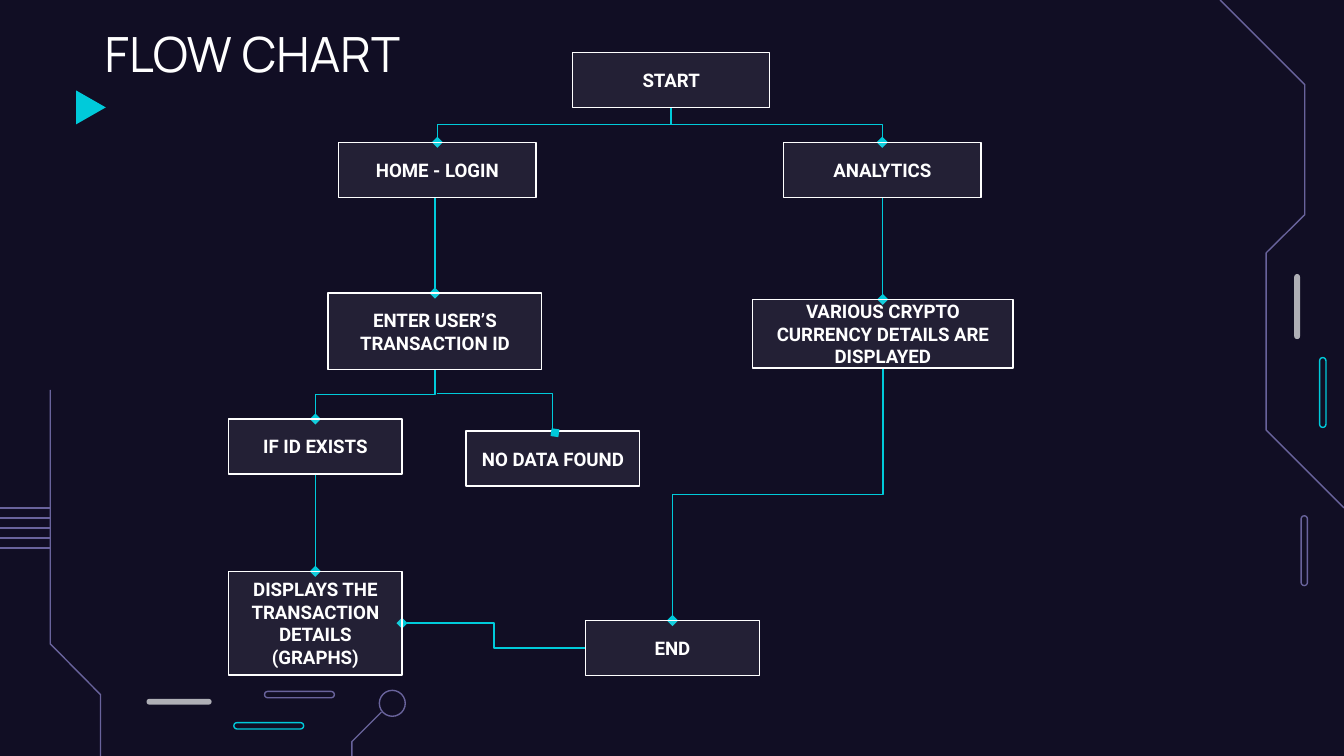
from lxml import etree
from pptx import Presentation
from pptx.dml.color import RGBColor
from pptx.enum import shapes, text
from pptx.oxml.ns import qn
from pptx.util import Cm, Pt

NIGHT = RGBColor(0x11, 0x0E, 0x24)
WHITE = RGBColor(0xFF, 0xFF, 0xFF)
CYAN = RGBColor(0x00, 0xCA, 0xDA)
PURPLE = RGBColor(0x69, 0x63, 0x9C)
GREY = RGBColor(0xAF, 0xAF, 0xB6)

KIND = shapes.MSO_SHAPE
WIDE, TALL = 25.4, 14.29

# Flow steps: left, top, width, height within the chart box, and paragraphs
STEPS = {
    "start": (6.5, 0, 3.73, 1.04, "START"),
    "home": (2.08, 1.7, 3.73, 1.04, "HOME - LOGIN"),
    "stats": (10.49, 1.7, 3.73, 1.04, "ANALYTICS"),
    "coins": (9.9, 4.67, 4.93, 1.3,
              "VARIOUS CRYPTO CURRENCY DETAILS ARE DISPLAYED"),
    "none": (4.49, 7.16, 3.28, 1.04, "NO DATA FOUND"),
    "enter": (1.88, 4.55, 4.04, 1.45, "ENTER USER’S TRANSACTION ID"),
    "end": (6.75, 10.74, 3.28, 1.04, "END"),
    "show": (0, 9.81, 3.28, 1.96,
             "DISPLAYS THE TRANSACTION DETAILS\n(GRAPHS)"),
    "found": (0, 6.93, 3.28, 1.04, "IF ID EXISTS"),
}
# Downward links: upper step, lower step, place of the bend
LINKS = [
    ("start", "stats", 0.5), ("start", "home", 0.5), ("home", "enter", 0),
    ("stats", "coins", 0.5), ("enter", "found", 0.5),
    ("found", "show", 0.5), ("coins", "end", 0.5),
]


def paint(shape, fill=None, line=None):
    shape.shadow.inherit = False
    if fill is None:
        shape.fill.background()
    else:
        shape.fill.solid()
        shape.fill.fore_color.rgb = fill
    if line is None:
        shape.line.fill.background()
    else:
        shape.line.color.rgb = line
        shape.line.width = Pt(0.75)


def add_shape(slide, kind, left, top, wide, tall, fill=None, line=None):
    shape = slide.shapes.add_shape(kind, Cm(left), Cm(top), Cm(wide), Cm(tall))
    paint(shape, fill, line)
    return shape


def add_pill(slide, *place, fill=None, line=None):
    pill = add_shape(slide, KIND.ROUNDED_RECTANGLE, *place, fill, line)
    pill.adjustments[0] = 0.5


def add_trace(slide, box, points):
    """Open circuit line through points within the box."""
    spots = [(Cm(box[0] + x), Cm(box[1] + y)) for x, y in points]
    path = slide.shapes.build_freeform(*spots[0])
    path.add_line_segments(spots[1:], close=False)
    paint(path.convert_to_shape(), line=PURPLE)


def add_line(slide, kind, start, end, color):
    line = slide.shapes.add_connector(kind, *map(Cm, start + end))
    line.line.color.rgb = color
    line.line.width = Pt(0.75)
    etree.SubElement(line._element.spPr, qn("a:effectLst"))
    return line


def add_link(slide, start, end, bend, down=True):
    """Elbow with a diamond at its end; leaves downward or sideways."""
    if down:
        # A quarter turn about the middle makes the first leg vertical
        (ax, ay), (bx, by) = start, end
        mx, my = (ax + bx) / 2, (ay + by) / 2
        dx, dy = (bx - ax) / 2, (by - ay) / 2
        start, end = (mx - dy, my + dx), (mx + dy, my - dx)
    link = add_line(slide, shapes.MSO_CONNECTOR.ELBOW, start, end, CYAN)
    props = link._element.spPr
    if down:
        props.find(qn("a:xfrm")).set("rot", "5400000")
    guides = props.find(qn("a:prstGeom")).find(qn("a:avLst"))
    etree.SubElement(guides, qn("a:gd"), name="adj1",
                     fmla=f"val {round(bend * 100000)}")
    etree.SubElement(props.find(qn("a:ln")), qn("a:tailEnd"), type="diamond")


def add_step(slide, left, top, wide, tall, words):
    step = add_shape(slide, KIND.RECTANGLE, left, top, wide, tall, WHITE, WHITE)
    tint = step._element.spPr.find(qn("a:solidFill"))[0]
    etree.SubElement(tint, qn("a:alpha"), val="8000")
    frame = step.text_frame
    frame.text = words
    frame.word_wrap = True
    frame.vertical_anchor = text.MSO_ANCHOR.MIDDLE
    for para in frame.paragraphs:
        para.alignment = text.PP_ALIGN.CENTER
        style(para, "Roboto", 10, True)


def style(para, name, size, bold=False):
    for run in para.runs:
        run.font.name = name
        run.font.size = Pt(size)
        run.font.bold = bold
        run.font.color.rgb = WHITE


def draw_right(slide, box):
    x, y = box[:2]
    add_pill(slide, x + 1.86, y + 5.18, 0.11, 1.23, fill=GREY)
    add_pill(slide, x + 2.34, y + 6.76, 0.12, 1.32, line=CYAN)
    add_pill(slide, x + 1.99, y + 9.75, 0.12, 1.32, line=PURPLE)
    add_trace(slide, box, [(box[2], 9.6), (1.33, 8.13), (1.33, 4.78),
                           (2.06, 4.06), (2.06, 1.6), (0.46, 0)])


def draw_left(slide, box):
    x, y, wide, tall = box
    add_pill(slide, x + 2.77, y + 5.84, 1.23, 0.11, fill=GREY)
    add_pill(slide, x + 4.42, y + 6.29, 1.32, 0.12, line=CYAN)
    add_pill(slide, x + 5, y + 5.7, 1.32, 0.12, line=PURPLE)
    add_trace(slide, box, [(1.9, tall), (1.9, 5.76), (0.95, 4.8), (0.95, 0)])
    # Bus of five lines running in from the edge
    for i in range(5):
        row = y + 2.23 + 0.19 * i
        add_line(slide, shapes.MSO_CONNECTOR.STRAIGHT,
                 (x, row), (x + 0.95, row), PURPLE)
    # Ring on a stalk
    add_trace(slide, box, [(7.21, 6.09), (6.65, 6.65), (6.65, tall)])
    add_shape(slide, KIND.OVAL, x + 7.17, y + 5.68, 0.49, 0.49, line=PURPLE)


def draw_title(slide, box):
    x, y = box[:2]
    mark = add_shape(slide, KIND.FLOWCHART_MERGE, x - 0.33, y + 1.55,
                     0.64, 0.56, CYAN)
    mark.rotation = 270
    frame = slide.shapes.add_textbox(*map(Cm, box)).text_frame
    frame.word_wrap = True
    frame.margin_top = frame.margin_bottom = Cm(0.25)
    frame.text = "FLOW CHART"
    style(frame.paragraphs[0], "Manrope", 26)


def draw_chart(slide, box):
    x, y = box[:2]

    def spot(name, fx, fy):
        """Point at a fraction of a step's width and height."""
        left, top, wide, tall, _ = STEPS[name]
        return x + left + wide * fx, y + top + tall * fy

    for upper, lower, bend in LINKS:
        add_link(slide, spot(upper, 0.5, 1), spot(lower, 0.5, 0), bend)
    add_link(slide, spot("end", 0, 0.5), spot("show", 1, 0.5), 0.5, False)
    for left, top, *rest in STEPS.values():
        add_step(slide, x + left, y + top, *rest)
    # Side branch off the stem below the transaction step
    add_link(slide, (x + 3.94, y + 6.45), (x + 6.17, y + 7.19), 0.98, False)


def main():
    deck = Presentation()
    deck.slide_width, deck.slide_height = Cm(WIDE), Cm(TALL)
    slide = deck.slides.add_slide(deck.slide_layouts[6])
    slide.background.fill.solid()
    slide.background.fill.fore_color.rgb = NIGHT
    draw_right(slide, (22.6, 0, 2.8, TALL))
    draw_left(slide, (0, 7.37, 7.7, 6.92))
    draw_title(slide, (1.73, 0.2, 21.41, 1.6))
    draw_chart(slide, (4.32, 0.99, 14.83, 11.77))
    deck.save("out.pptx")


if __name__ == "__main__":
    main()
